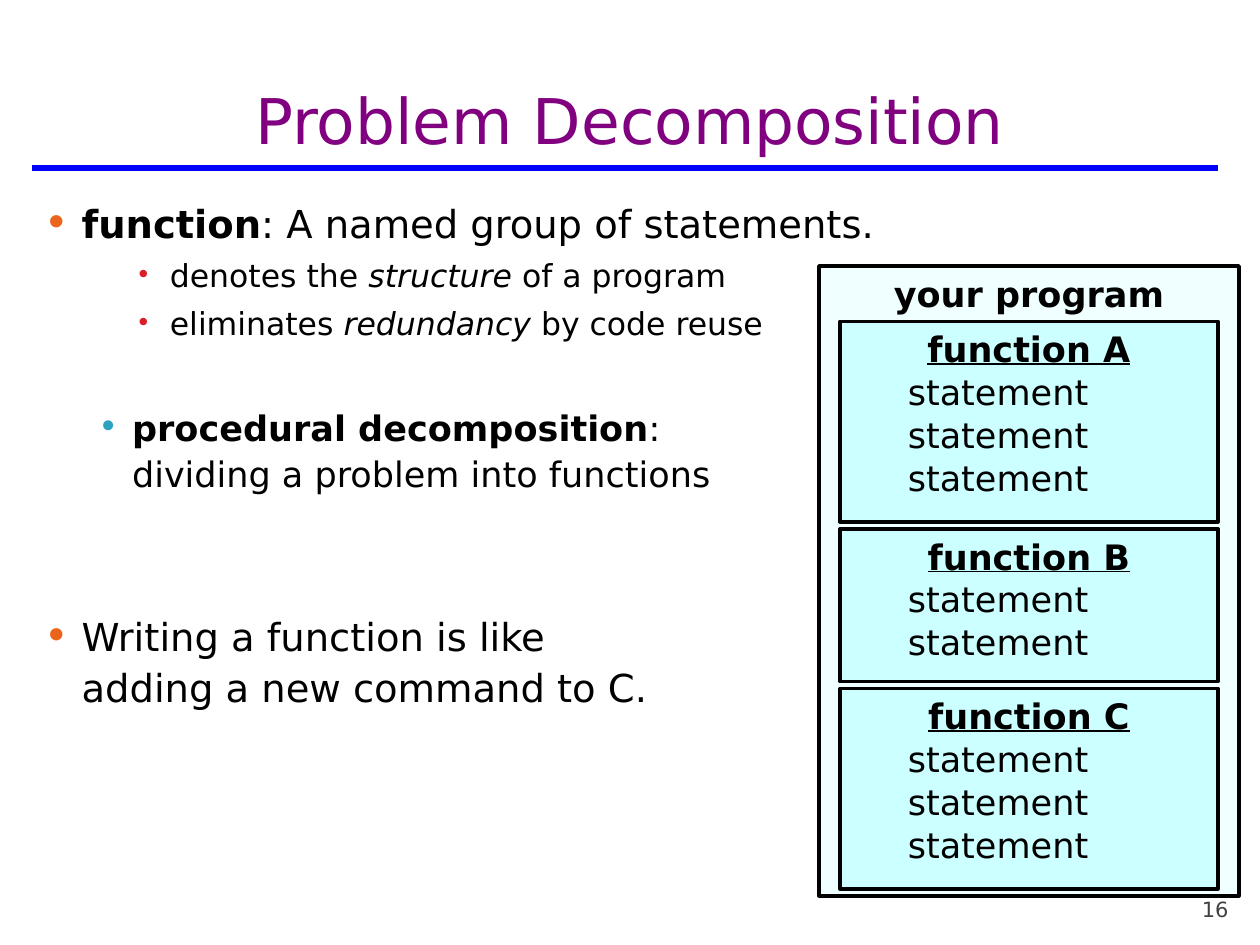
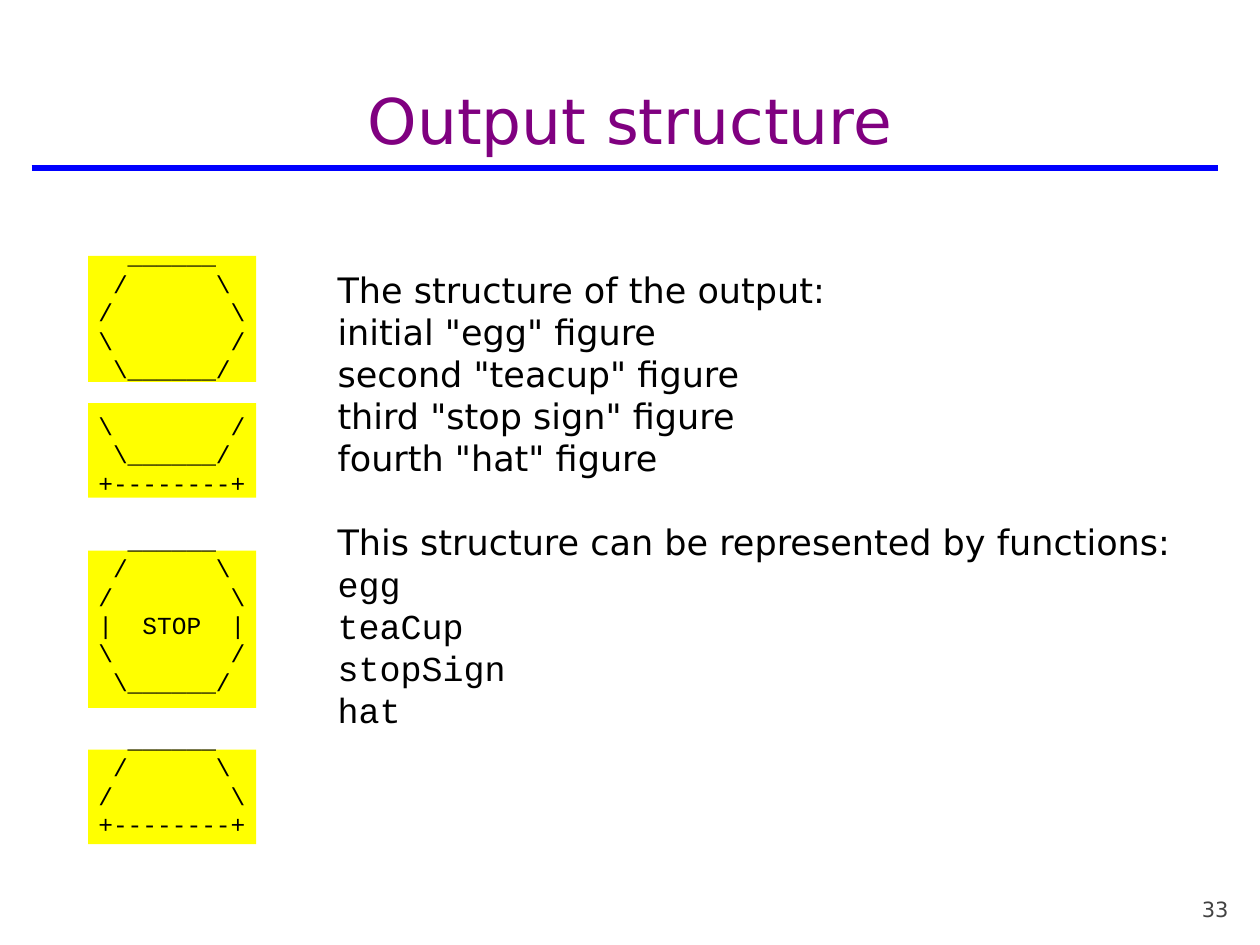
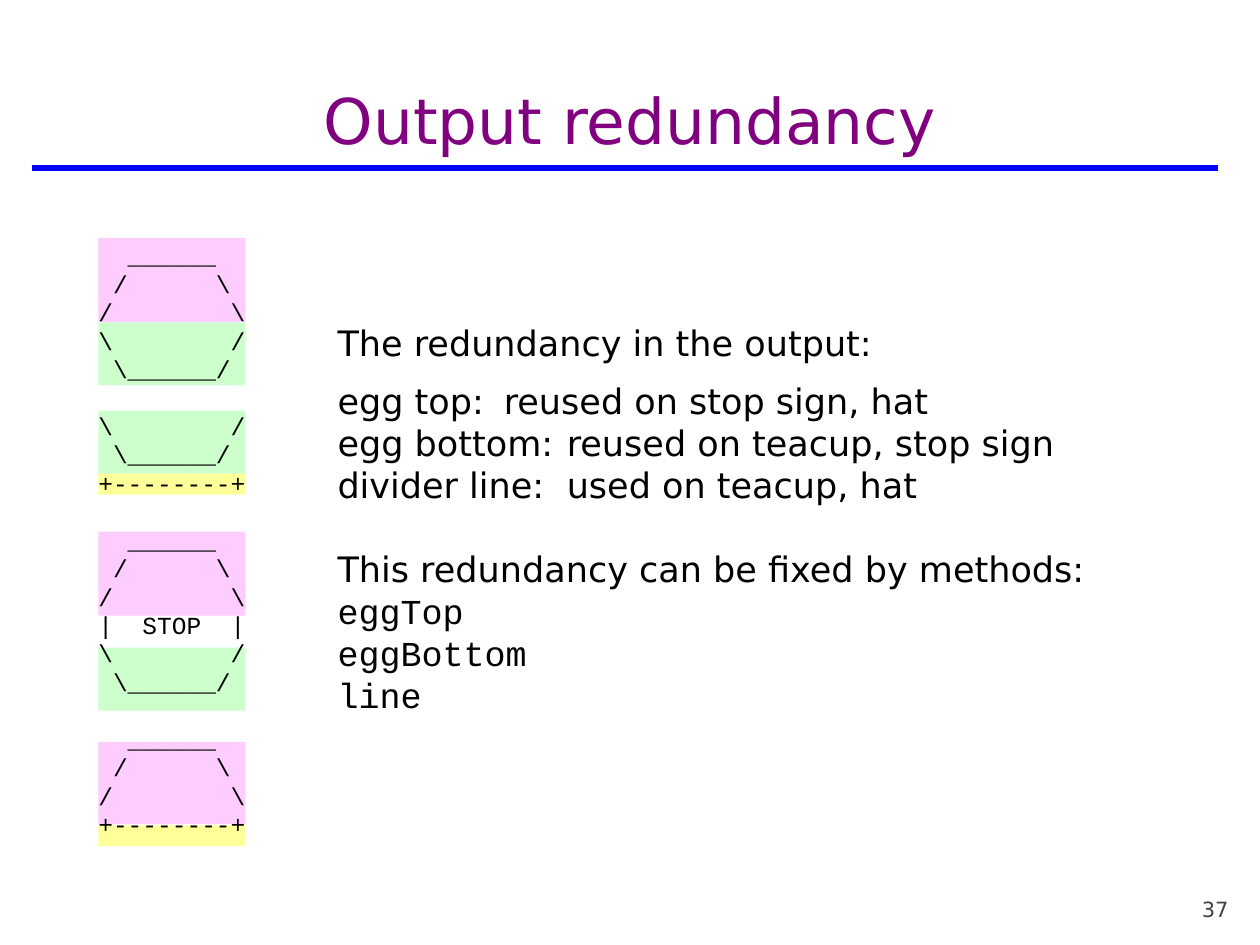
from lxml.etree import SubElement
from pptx import Presentation
from pptx.dml.color import RGBColor
from pptx.enum.shapes import MSO_CONNECTOR, MSO_SHAPE
from pptx.enum.text import MSO_ANCHOR, PP_ALIGN
from pptx.oxml.ns import qn
from pptx.util import Pt

# Shared look
COLORS = {
    "title": "800080", "rule": "0000FF", "text": "000000", "number": "424242",
    "program": "F0FFFF", "function": "CCFFFF", "figure": "FFFF00",
    "top": "FFCCFF", "bottom": "CCFFCC", "divider": "FFFF99",
}
SANS, MONO = "DejaVu Sans", "Courier New"
BULLETS = [  # left margin, hanging indent, text size, bullet colour, bullet percent
    (21.6, 21.6, 22, "EB641B", 110),
    (50.4, 19.4, 20, "2DA2BF", 98),
    (72, 19.4, 18, "DA1F28", 81),
]

# Slide 1: level, blank lines above, runs (text, style)
DECOMPOSITION = [
    (0, 0, [("function", "bold"), (": A named group of statements.", "")]),
    (2, 0, [("denotes the ", ""), ("structure", "italic"), (" of a program", "")]),
    (2, 0, [("eliminates ", ""), ("redundancy", "italic"), (" by code reuse", "")]),
    (1, 1, [("procedural decomposition", "bold"),
            (":\ndividing a problem into functions", "")]),
    (0, 2, [("Writing a function is like\nadding a new command to C.", "")]),
]
PROGRAM = "your program"
FUNCTIONS = [("function A", 3), ("function B", 2), ("function C", 3)]

# Slides 2 and 3: the printed figures, one blank line between them
FIGURES = r"""
  ______
 /      \
/        \
\        /
 \______/

\        /
 \______/
+--------+

  ______
 /      \
/        \
|  STOP  |
\        /
 \______/

  ______
 /      \
/        \
+--------+
""".strip("\n").split("\n")
FIGURE_BANDS = [  # colour, top, height
    ("figure", 146.2, 72), ("figure", 230.4, 54),
    ("figure", 314.6, 90), ("figure", 428.4, 54),
]
REUSED_BANDS = [
    ("top", 136.1, 48), ("bottom", 184.3, 36),
    ("bottom", 234.7, 36), ("divider", 270.7, 12),
    ("top", 303.8, 48), ("bottom", 370.1, 36),
    ("top", 424.1, 46.8), ("divider", 471.6, 12),
]
# Text, font, space before, tab stop
STRUCTURE = [
    ("The structure of the output:", SANS, 0, None),
    ('initial "egg" figure', SANS, 0, None),
    ('second "teacup" figure', SANS, 0, None),
    ('third "stop sign" figure', SANS, 0, None),
    ('fourth "hat" figure', SANS, 0, None),
    ("This structure can be represented by functions:", SANS, 24, None),
    ("egg", MONO, 0, None),
    ("teaCup", MONO, 0, None),
    ("stopSign", MONO, 0, None),
    ("hat", MONO, 0, None),
]
REDUNDANCY = [
    ("The redundancy in the output:", SANS, 0, None),
    ("egg top:\treused on stop sign, hat", SANS, 9.4, 95),
    ("egg bottom:\treused on teacup, stop sign", SANS, 0, 131),
    ("divider line:\tused on teacup, hat", SANS, 0, 131),
    ("This redundancy can be fixed by methods:", SANS, 24, None),
    ("eggTop", MONO, 0, None),
    ("eggBottom", MONO, 0, None),
    ("line", MONO, 0, None),
]


def color(name):
    return RGBColor.from_string(COLORS[name])


def style_font(font, size, name=SANS, color_name="text"):
    font.size = Pt(size)
    font.name = name
    font.color.rgb = color(color_name)


def set_spacing(paragraph, line, before=0):
    paragraph.line_spacing = Pt(line)
    paragraph.space_before = Pt(before)


def add_text(slide, left, top, width, height, margins=(7.2, 3.6, 7.2, 3.6),
             anchor=MSO_ANCHOR.TOP, wrap=True):
    frame = slide.shapes.add_textbox(Pt(left), Pt(top), Pt(width), Pt(height)).text_frame
    frame.word_wrap = wrap
    frame.vertical_anchor = anchor
    (frame.margin_left, frame.margin_top,
     frame.margin_right, frame.margin_bottom) = [Pt(margin) for margin in margins]
    return frame


def add_paragraphs(frame, count):
    return [frame.paragraphs[0]] + [frame.add_paragraph() for _ in range(count - 1)]


def add_box(slide, left, top, width, height, fill, outlined=False):
    shape = slide.shapes.add_shape(MSO_SHAPE.RECTANGLE, Pt(left), Pt(top), Pt(width), Pt(height))
    shape.shadow.inherit = False
    shape.fill.solid()
    shape.fill.fore_color.rgb = color(fill)
    if outlined:
        shape.line.color.rgb = color("text")
        shape.line.width = Pt(2)
    else:
        shape.line.fill.background()
    return shape


def add_slide(presentation, title, number):
    slide = presentation.slides.add_slide(presentation.slide_layouts[6])
    rule = slide.shapes.add_connector(MSO_CONNECTOR.STRAIGHT, Pt(18), Pt(96), Pt(696), Pt(96))
    rule.line.color.rgb = color("rule")
    rule.line.width = Pt(3)
    SubElement(rule._element.spPr, qn("a:effectLst"))
    labels = [
        (title, 36, "title", PP_ALIGN.CENTER, (36, 34.6, 648, 55.4)),
        (str(number), 12, "number", PP_ALIGN.RIGHT, (642.2, 498.2, 59.8, 28.8)),
    ]
    for text, size, color_name, alignment, place in labels:
        frame = add_text(slide, *place, margins=(0, 0, 0, 0), anchor=MSO_ANCHOR.BOTTOM)
        frame.text = text
        paragraph = frame.paragraphs[0]
        paragraph.alignment = alignment
        style_font(paragraph.runs[0].font, size, color_name=color_name)
    return slide


def add_bullet(paragraph, level):
    margin, hanging, _, bullet_color, percent = BULLETS[level]
    properties = paragraph._p.get_or_add_pPr()
    properties.set("marL", str(Pt(margin)))
    properties.set("indent", str(-Pt(hanging)))
    SubElement(SubElement(properties, qn("a:buClr")), qn("a:srgbClr"), val=bullet_color)
    SubElement(properties, qn("a:buSzPct"), val=str(percent * 1000))
    SubElement(properties, qn("a:buFont"), typeface=SANS)
    SubElement(properties, qn("a:buChar"), char="•")


def add_bullet_list(slide, items):
    frame = add_text(slide, 18, 108, 702, 408)
    for paragraph, (level, blanks, runs) in zip(add_paragraphs(frame, len(items)), items):
        size = BULLETS[level][2]
        add_bullet(paragraph, level)
        before = 0 if paragraph is frame.paragraphs[0] or items[0][2] is runs else 0.2 * size
        set_spacing(paragraph, 1.32 * size, before + blanks * 30.4)
        for text, style in runs:
            for index, part in enumerate(text.split("\n")):
                if index:
                    paragraph.add_line_break()
                run = paragraph.add_run()
                run.text = part
                style_font(run.font, size)
                run.font.bold = style == "bold"
                run.font.italic = style == "italic"


def fill_program_box(shape, heading, statements=0):
    frame = shape.text_frame
    frame.word_wrap = True
    frame.vertical_anchor = MSO_ANCHOR.TOP
    frame.text = "\n".join([heading] + ["statement"] * statements)
    for index, paragraph in enumerate(frame.paragraphs):
        font = paragraph.runs[0].font
        if index:
            paragraph.alignment = PP_ALIGN.LEFT
            paragraph._p.get_or_add_pPr().set("marL", str(Pt(31.7)))
            set_spacing(paragraph, 24.5)
        else:
            paragraph.alignment = PP_ALIGN.CENTER
            set_spacing(paragraph, 24)
            font.bold = True
            font.underline = statements > 0
        style_font(font, 20)


def add_program(slide):
    fill_program_box(add_box(slide, 468, 152, 240, 360, "program", True), PROGRAM)
    top = 183.6
    for heading, statements in FUNCTIONS:
        height = 32.4 + 27.4 * statements
        box = add_box(slide, 480, top, 216, height, "function", True)
        fill_program_box(box, heading, statements)
        top += height + 4


def add_figures(slide, bands, left, width):
    for fill, top, height in bands:
        add_box(slide, left, top, width, height, fill)
    row_height = 16.25
    frame = add_text(slide, 56.2, 138, 100, 345, margins=(0, 0, 0, 0), wrap=False)
    rows = [(row, index > 0 and not FIGURES[index - 1])
            for index, row in enumerate(FIGURES) if row]
    for paragraph, (row, after_gap) in zip(add_paragraphs(frame, len(rows)), rows):
        paragraph.text = row
        set_spacing(paragraph, row_height, row_height if after_gap else 0)
        style_font(paragraph.runs[0].font, 14, MONO)


def add_explanation(slide, lines, top, height):
    frame = add_text(slide, 185.8, top, 510, height)
    for paragraph, (text, font_name, before, tab) in zip(add_paragraphs(frame, len(lines)), lines):
        paragraph.text = text
        if tab:
            tabs = SubElement(paragraph._p.get_or_add_pPr(), qn("a:tabLst"))
            SubElement(tabs, qn("a:tab"), pos=str(Pt(tab)), algn="l")
        set_spacing(paragraph, 24, before)
        for run in paragraph.runs:
            style_font(run.font, 20, font_name)


def main():
    presentation = Presentation()
    presentation.slide_width, presentation.slide_height = Pt(720), Pt(540)

    slide = add_slide(presentation, "Problem Decomposition", 16)
    add_bullet_list(slide, DECOMPOSITION)
    add_program(slide)

    slide = add_slide(presentation, "Output structure", 33)
    add_figures(slide, FIGURE_BANDS, 50.4, 96)
    add_explanation(slide, STRUCTURE, 149.8, 324)

    slide = add_slide(presentation, "Output redundancy", 37)
    add_figures(slide, REUSED_BANDS, 56.2, 84)
    add_explanation(slide, REDUNDANCY, 180, 280)

    presentation.save("out.pptx")


if __name__ == "__main__":
    main()
